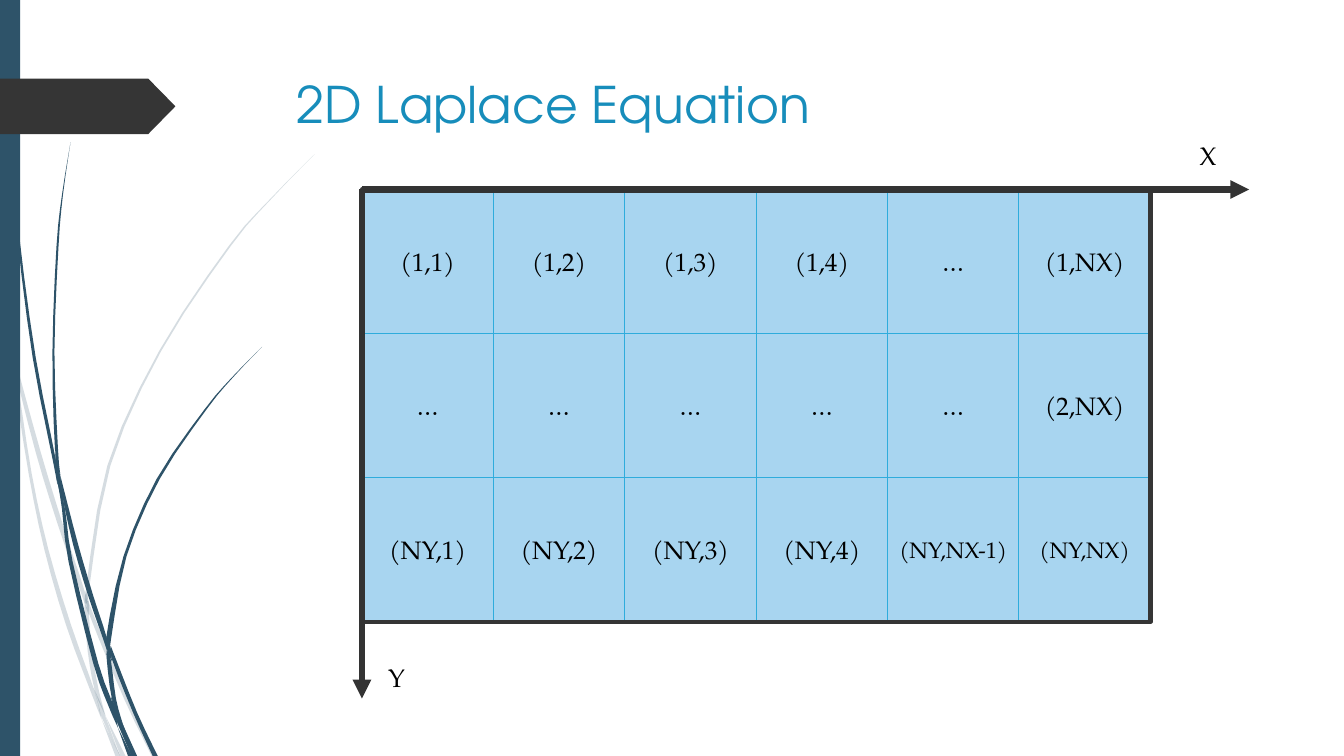
from dataclasses import dataclass

from lxml import etree
from pptx import Presentation
from pptx import util as u
from pptx.dml.color import RGBColor
from pptx.enum import shapes, text
from pptx.oxml.ns import qn


@dataclass(frozen=True)
class Theme:
    deep: str = "2E5369"
    dark: str = "353535"
    axis: str = "333333"
    title: str = "178DBB"
    cell: str = "A8D5F0"
    edge: str = "2FACDC"
    ink: str = "000000"
    head: str = "TeX Gyre Adventor"
    body: str = "TeX Gyre Pagella"
    big: int = 36
    mid: int = 18
    small: int = 16


T = Theme()

# Grid of mesh points
LEFT, TOP, WIDE, HIGH = 3.59, 1.88, 7.82, 4.29
ROWS = [
    ["(1,1)", "(1,2)", "(1,3)", "(1,4)", "…", "(1,NX)"],
    ["…", "…", "…", "…", "…", "(2,NX)"],
    ["(NY,1)", "(NY,2)", "(NY,3)", "(NY,4)", "(NY,NX-1)", "(NY,NX)"],
]
TIGHT = {"(NY,NX-1)", "(NY,NX)"}

# Grass blades: x, y and width along each one
PALE = [
    [(0, 2.82, 0), (0.02, 2.95, 0.03), (0.06, 3.18, 0.03), (0.11, 3.5, 0)],
    [(0.14, 3.45, 0), (0.16, 3.65, 0.03), (0.38, 4.49, 0.05), (0.6, 5.21, 0.05),
     (0.83, 5.9, 0.04), (0.84, 5.99, 0)],
    [(0.88, 5.96, 0), (0.9, 6.08, 0.04), (1.25, 6.93, 0.04), (1.53, 7.5, 0.05)],
    [(1.05, 7.11, 0), (1.22, 7.5, 0.05)],
    [(0.11, 3.5, 0), (0.16, 3.8, 0.03), (0.3, 4.7, 0.03), (0.46, 5.45, 0.04),
     (0.68, 6.2, 0.05), (0.92, 6.86, 0.04), (1.01, 7.14, 0)],
    [(0.84, 5.99, 0), (0.86, 6.09, 0.04), (0.89, 6.46, 0.04), (0.96, 6.85, 0.04),
     (1.05, 7.11, 0)],
    [(3.12, 1.53, 0), (2.68, 1.98, 0.01), (2.28, 2.44, 0.02), (1.59, 3.48, 0.02),
     (1.08, 4.62, 0.03), (0.87, 5.84, 0.03), (0.88, 5.96, 0)],
    [(1.01, 7.14, 0), (1.17, 7.5, 0.05)],
    [(0.85, 5.86, 0), (0.86, 5.98, 0.04), (0.88, 6.1, 0)],
    [(0.93, 6.83, 0), (0.99, 6.99, 0.03), (1.03, 7.12, 0.04), (1.19, 7.5, 0)],
]
DEEP = [
    [(0.03, 0, 0.01), (0.04, 0.48, 0.01), (0.08, 1.1, 0.01), (0.18, 2.33, 0.02),
     (0.34, 3.55, 0.03), (0.54, 4.57, 0.03), (0.57, 4.81, 0)],
    [(0.6, 4.72, 0), (0.63, 4.9, 0.03), (0.75, 5.4, 0.05), (0.9, 5.91, 0.05),
     (1.04, 6.33, 0.04), (1.06, 6.45, 0)],
    [(1.1, 6.41, 0), (1.13, 6.54, 0.04), (1.34, 7.07, 0.04), (1.54, 7.5, 0.05)],
    [(0.57, 4.77, 0), (0.63, 5.05, 0.03), (0.7, 5.57, 0.04), (0.95, 6.58, 0.05),
     (1.1, 7, 0.05), (1.17, 7.22, 0)],
    [(0.7, 1.41, 0), (0.62, 1.93, 0.01), (0.57, 2.45, 0.02), (0.53, 3.49, 0.02),
     (0.56, 4.45, 0.03), (0.6, 4.72, 0)],
    [(1.22, 7.19, 0), (1.34, 7.5, 0.04)],
    [(0.55, 4.49, 0), (0.58, 4.74, 0.04), (0.64, 5.05, 0)],
    [(2.6, 3.44, 0), (2.31, 3.74, 0.01), (2.04, 4.06, 0.02), (1.57, 4.75, 0.03),
     (1.24, 5.52, 0.03), (1.08, 6.32, 0.05), (1.1, 6.41, 0)],
    [(1.17, 7.22, 0), (1.29, 7.5, 0.04)],
    [(1.06, 6.45, 0), (1.08, 6.55, 0.04), (1.13, 6.93, 0.04), (1.22, 7.19, 0)],
    [(1.06, 6.31, 0), (1.08, 6.44, 0.04), (1.11, 6.56, 0)],
    [(1.1, 6.91, 0), (1.15, 7.07, 0.04), (1.2, 7.2, 0.05), (1.32, 7.5, 0.03)],
]


def rgb(code):
    return RGBColor.from_string(code)


def apply(item, form):
    for key, value in form.items():
        setattr(item, key, value)


def write(shape, words, size, color=T.ink, face=T.body, align=None, **form):
    frame = shape.text_frame
    apply(frame, {"word_wrap": True, **form})
    para = frame.paragraphs[0]
    para.alignment = align
    run = para.add_run()
    run.text = words
    apply(run.font, {"size": u.Pt(size), "name": face})
    run.font.color.rgb = rgb(color)


def paint(shape, fill=None, line=None, width=0.75):
    shape.shadow.inherit = False
    if fill:
        shape.fill.solid()
        shape.fill.fore_color.rgb = rgb(fill)
    else:
        shape.fill.background()
    if line:
        shape.line.color.rgb = rgb(line)
        shape.line.width = u.Pt(width)
    else:
        shape.line.fill.background()


def block(slide, box, kind=shapes.MSO_SHAPE.RECTANGLE, **look):
    shape = slide.shapes.add_shape(kind, *map(u.Inches, box))
    paint(shape, **look)
    return shape


def curve(knots, steps=3):
    """Smooth a row of knots with a Catmull-Rom spline."""
    ends = [knots[0], *knots, knots[-1]]
    dots = []
    for quad in zip(ends, ends[1:], ends[2:], ends[3:]):
        for step in range(steps):
            t = step / steps
            dots.append([
                b + t * (c - a) / 2 + t**2 * (a - 2.5 * b + 2 * c - d / 2)
                + t**3 * (d - a + 3 * (b - c)) / 2
                for a, b, c, d in zip(*quad)
            ])
    return dots + [knots[-1]]


def blade(slide, knots, alpha=None):
    dots = curve(knots)
    rim = [(x - w / 2, y) for x, y, w in dots]
    rim += [(x + w / 2, y) for x, y, w in reversed(dots)]
    rim = [(u.Inches(x), u.Inches(y)) for x, y in rim]
    pen = slide.shapes.build_freeform(*rim[0])
    pen.add_line_segments(rim[1:], close=True)
    shape = pen.convert_to_shape()
    paint(shape, T.deep)
    if alpha:
        tint = shape.fill._xPr.find(".//" + qn("a:srgbClr"))
        etree.SubElement(tint, qn("a:alpha"), val=str(alpha * 1000))


def arrow(slide, start, end):
    line = slide.shapes.add_connector(
        shapes.MSO_CONNECTOR.STRAIGHT, *map(u.Inches, (*start, *end)))
    line.line.color.rgb = rgb(T.axis)
    line.line.width = u.Pt(4.5)
    etree.SubElement(line.line._get_or_add_ln(), qn("a:tailEnd"), type="triangle")
    etree.SubElement(line._element.spPr, qn("a:effectLst"))


def label(slide, words, left, top):
    box = slide.shapes.add_textbox(*map(u.Inches, (left, top, 0.59, 0.4)))
    write(box, words, T.mid)


def mesh(slide):
    wide, high = WIDE / len(ROWS[0]), HIGH / len(ROWS)
    for r, row in enumerate(ROWS):
        for c, words in enumerate(row):
            cell = block(slide, (LEFT + c * wide, TOP + r * high, wide, high),
                         fill=T.cell, line=T.edge)
            write(cell, words, T.small if words in TIGHT else T.mid,
                  align=text.PP_ALIGN.CENTER, margin_left=0, margin_right=0,
                  vertical_anchor=text.MSO_ANCHOR.MIDDLE)
    block(slide, (LEFT, TOP, WIDE, HIGH), line=T.dark, width=3)


def decor(slide):
    for knots in PALE:
        blade(slide, knots, alpha=20)
    for knots in DEEP:
        blade(slide, knots)
    block(slide, (0, 0, 0.2, 7.5), fill=T.deep)
    flag = block(slide, (0, 0.78, 1.74, 0.55), shapes.MSO_SHAPE.PENTAGON, fill=T.dark)
    flag.adjustments[0] = 0.49


def main():
    deck = Presentation()
    apply(deck, {"slide_width": u.Inches(13.33), "slide_height": u.Inches(7.5)})
    slide = deck.slides.add_slide(deck.slide_layouts[5])

    # Title
    title = slide.shapes.title
    apply(title, dict(zip(("left", "top", "width", "height"),
                          map(u.Inches, (2.84, 0.68, 9.75, 1.4)))))
    write(title, "2D Laplace Equation", T.big, T.title, T.head,
          text.PP_ALIGN.LEFT, vertical_anchor=text.MSO_ANCHOR.TOP)

    # Side decoration
    decor(slide)

    # Mesh with its axes
    mesh(slide)
    for end in ((12.39, TOP), (LEFT, 6.93)):
        arrow(slide, (LEFT, TOP), end)
    label(slide, "X", 11.8, 1.34)
    label(slide, "Y", 3.75, 6.52)

    deck.save("out.pptx")


if __name__ == "__main__":
    main()
